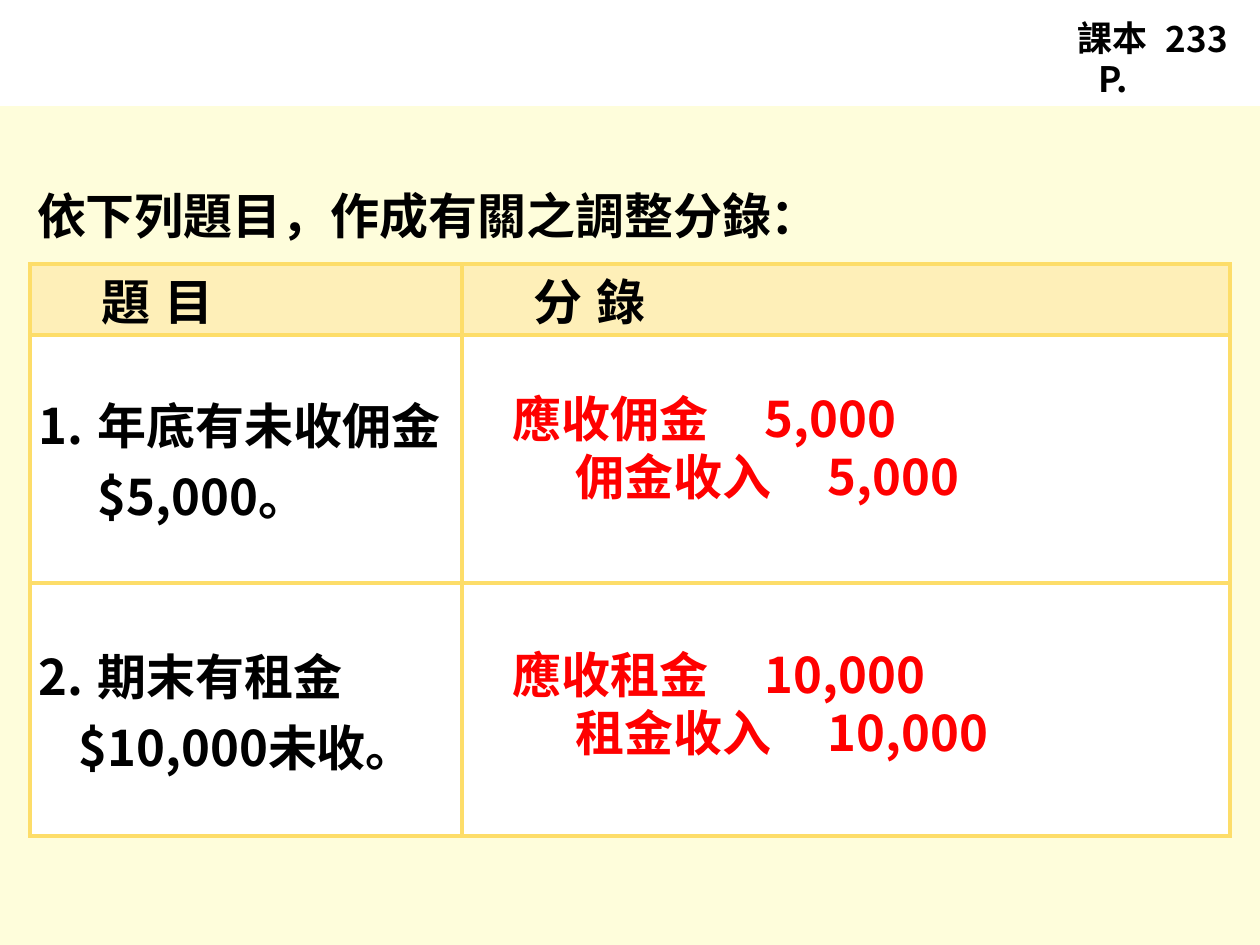
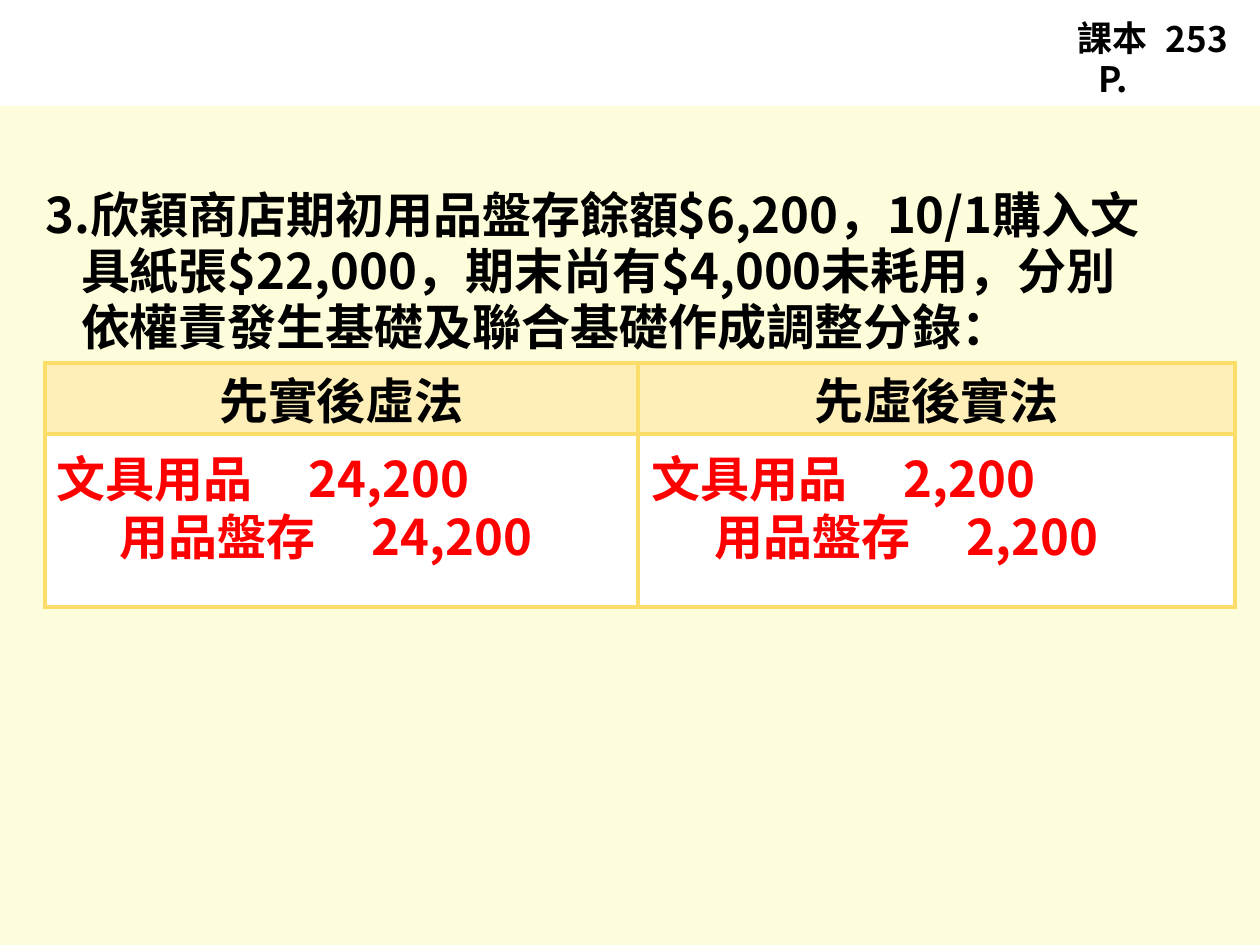
"""Build two accounting exercise slides on adjusting entries."""
from lxml import etree
from pptx import Presentation
from pptx.dml.color import RGBColor
from pptx.enum.shapes import MSO_SHAPE
from pptx.enum.text import MSO_ANCHOR, MSO_AUTO_SIZE, PP_ALIGN
from pptx.oxml.ns import qn
from pptx.util import Pt

RECT = MSO_SHAPE.RECTANGLE
TOP, MIDDLE = MSO_ANCHOR.TOP, MSO_ANCHOR.MIDDLE
LEFT, CENTER = PP_ALIGN.LEFT, PP_ALIGN.CENTER
NO_FIT = MSO_AUTO_SIZE.NONE
PX = 914400 / 126
FONT = "Noto Sans CJK SC"
COLORS = {"band": "FEFDDB", "head": "FEEFB8", "cell": "FFFFFF",
          "border": "FDDD69", "text": "000000", "answer": "FF0000"}
FRAME = {"margin_left": 0, "margin_right": 0, "margin_top": 0, "margin_bottom": 0,
         "word_wrap": True, "auto_size": NO_FIT, "vertical_anchor": TOP}


def px(*lengths):
    """Turn pixel lengths into EMU."""
    return [round(n * PX) for n in lengths]


def write(tf, lines, size=28, color="text", align=LEFT, spacing=None):
    """Fill a text frame from (text, tab stops, left margin, indent) lines."""
    for i, (text, stops, margin, indent) in enumerate(lines):
        p = tf.paragraphs[0] if i == 0 else tf.add_paragraph()
        p.alignment = align
        if spacing:
            p.line_spacing = Pt(spacing)
        pPr = p._p.get_or_add_pPr()
        for name, value in zip(("marL", "indent"), px(margin, indent)):
            pPr.set(name, str(value))
        if stops:
            tabs = etree.SubElement(pPr, qn("a:tabLst"))
            for pos in px(*stops):
                etree.SubElement(tabs, qn("a:tab"), pos=str(pos), algn="l")
        for j, part in enumerate(text.split("\v")):
            if j:
                p.add_line_break()
            r = p.add_run()
            r.text = part
            for name, value in {"size": Pt(size), "bold": True, "name": FONT}.items():
                setattr(r.font, name, value)
            r.font.color.rgb = RGBColor.from_string(COLORS[color])
            etree.SubElement(r._r.get_or_add_rPr(), qn("a:ea"), typeface=FONT)


slides = [
    {"page": "233",
     "title": ("依下列題目，作成有關之調整分錄：", [], 0, 0),
     "title_at": (37, 187, 900, 60), "title_spacing": 33,
     "table_at": (30, 264), "cols": (432, 768), "rows": (71, 248, 253),
     "heads": [("\t題\t目", [90, 273], 0, 0), ("\t分\t錄", [253, 447], 0, 0)],
     "head_align": LEFT,
     "questions": [
         [("1.\t年底有未收佣金", [], 59, -59), ("$5,000。", [], 59, 0)],
         [("2.\t期末有租金", [], 59, -59), ("$10,000未收。", [], 40, 0)]],
     "name_at": 94,
     "entries": [((513, 390), "應收佣金", "佣金收入", "5,000", 274, 402),
                 ((513, 646), "應收租金", "租金收入", "10,000", 251, 378)]},
    {"page": "253",
     "title": ("3.欣穎商店期初用品盤存餘額$6,200，10/1購入文\v"
               "具紙張$22,000，期末尚有$4,000未耗用，分別\v"
               "依權責發生基礎及聯合基礎作成調整分錄：", [], 35, -35),
     "title_at": (46, 187, 1190, 170), "title_spacing": 32,
     "table_at": (45, 363), "cols": (593, 597), "rows": (71, 173),
     "heads": [("先實後虛法", [], 0, 0), ("先虛後實法", [], 0, 0)],
     "head_align": CENTER,
     "questions": [],
     "name_at": 90,
     "entries": [((57, 450), "文具用品", "用品盤存", "24,200", 284, 407),
                 ((652, 450), "文具用品", "用品盤存", "2,200", 307, 430)]},
]

prs = Presentation()
prs.slide_width, prs.slide_height = px(1260, 945)

for data in slides:
    s = prs.slides.add_slide(prs.slide_layouts[5])
    title = s.shapes.title

    band = s.shapes.add_shape(RECT, *px(0, 106, 1260, 839))
    band.shadow.inherit = False
    band.fill.solid()
    band.fill.fore_color.rgb = RGBColor.from_string(COLORS["band"])
    band.line.fill.background()
    title._element.addprevious(band._element)

    title.left, title.top, title.width, title.height = px(*data["title_at"])
    for name, value in FRAME.items():
        setattr(title.text_frame, name, value)
    write(title.text_frame, [data["title"]], spacing=data["title_spacing"])

    for text, at, align in (("課本P.", (1064, 17, 98, 84), CENTER),
                            (data["page"], (1166, 18, 90, 42), LEFT)):
        tf = s.shapes.add_textbox(*px(*at)).text_frame
        for name, value in FRAME.items():
            setattr(tf, name, value)
        write(tf, [(text, [], 0, 0)], size=20, align=align, spacing=23.5)

    cols, rows = data["cols"], data["rows"]
    table = s.shapes.add_table(len(rows), len(cols), *px(
        *data["table_at"], sum(cols), sum(rows))).table
    table.first_row = table.horz_banding = False
    for col, width in zip(table.columns, px(*cols)):
        col.width = width
    for row, height in zip(table.rows, px(*rows)):
        row.height = height
    for i, row in enumerate(table.rows):
        for cell in row.cells:
            cell.margin_left, cell.margin_right, cell.margin_top, cell.margin_bottom = px(9, 9, 0, 0)
            cell.vertical_anchor = MIDDLE
            cell.fill.solid()
            cell.fill.fore_color.rgb = RGBColor.from_string(COLORS["cell" if i else "head"])
            tcPr = cell._tc.get_or_add_tcPr()
            for k, side in enumerate("LRTB"):
                ln = etree.Element(qn(f"a:ln{side}"), w=str(Pt(2.25)))
                fill = etree.SubElement(ln, qn("a:solidFill"))
                etree.SubElement(fill, qn("a:srgbClr"), val=COLORS["border"])
                tcPr.insert(k, ln)
    for j, head in enumerate(data["heads"]):
        write(table.cell(0, j).text_frame, [head], align=data["head_align"])
    for i, question in enumerate(data["questions"], 1):
        write(table.cell(i, 0).text_frame, question)

    for at, debit, credit, amount, debit_at, credit_at in data["entries"]:
        tf = s.shapes.add_textbox(*px(*at, 580, 116)).text_frame
        for name, value in FRAME.items():
            setattr(tf, name, value)
        write(tf, [(f"{debit}\t{amount}", [debit_at], 0, 0),
                   (f"\t{credit}\t{amount}", [data["name_at"], credit_at], 0, 0)],
              color="answer", spacing=33)

prs.save("out.pptx")
